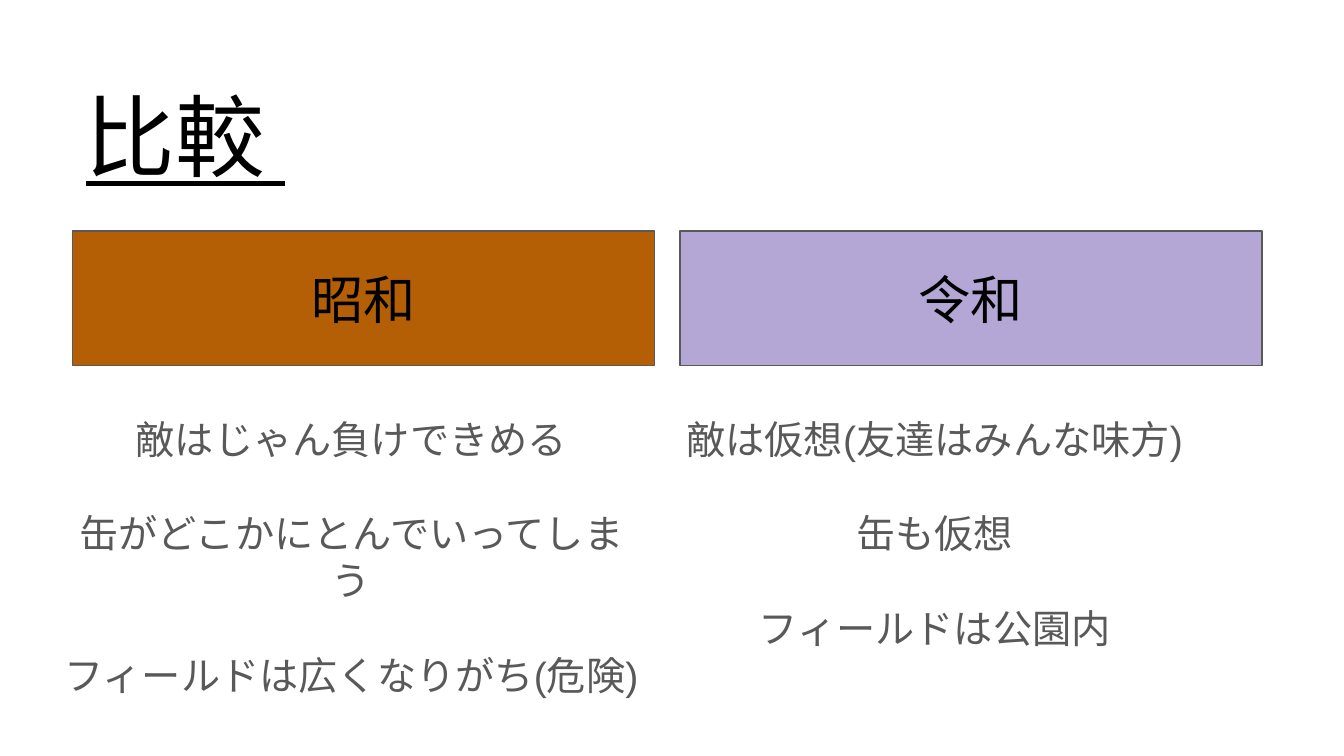
from pptx import Presentation
from pptx.dml.color import RGBColor
from pptx.enum import shapes, text
from pptx.util import Inches, Pt

BLACK = RGBColor(0x00, 0x00, 0x00)
GREY = RGBColor(0x59, 0x59, 0x59)
BROWN = RGBColor(0xB4, 0x5F, 0x06)
LILAC = RGBColor(0xB4, 0xA7, 0xD6)
FONT = "Arial"
PAD = 0.1


def write(shape, lines, size, color, align, anchor, right=PAD, gap=0):
    frame = shape.text_frame
    frame.word_wrap = True
    frame.vertical_anchor = anchor
    frame.margin_left = frame.margin_top = frame.margin_bottom = Inches(PAD)
    frame.margin_right = Inches(right)
    for i, line in enumerate(lines):
        para = frame.paragraphs[0] if i == 0 else frame.add_paragraph()
        para.text = line
        para.alignment = align
        if i:
            para.space_before = Pt(gap)
        para.font.name = FONT
        para.font.size = Pt(size)
        para.font.color.rgb = color
    return frame


def add_title(slide, words):
    box = slide.shapes.add_textbox(Inches(0.54), Inches(0.5), Inches(2.59), Inches(1))
    frame = write(box, [words], 48, BLACK, text.PP_ALIGN.LEFT, text.MSO_ANCHOR.MIDDLE)
    frame.paragraphs[0].font.underline = True


def add_head(slide, left, words, fill):
    box = slide.shapes.add_shape(
        shapes.MSO_SHAPE.RECTANGLE, Inches(left), Inches(1.72), Inches(4.33), Inches(1))
    box.shadow.inherit = False
    box.fill.solid()
    box.fill.fore_color.rgb = fill
    box.line.color.rgb = GREY
    box.line.width = Pt(0.75)
    write(box, [words], 28, BLACK, text.PP_ALIGN.CENTER, text.MSO_ANCHOR.MIDDLE)


def add_points(slide, left, width, right, lines):
    box = slide.shapes.add_textbox(Inches(left), Inches(2.99), Inches(width), Inches(0.68))
    write(box, lines, 21, GREY, text.PP_ALIGN.CENTER, text.MSO_ANCHOR.TOP, right, gap=25.3)


def main():
    # Widescreen page, 16 to 9
    deck = Presentation()
    deck.slide_width = Inches(10)
    deck.slide_height = Inches(10 * 9 / 16)
    slide = deck.slides.add_slide(deck.slide_layouts[6])

    # Points under each era
    add_points(slide, 0.35, 4.52, 0.09, [
        "敵はじゃん負けできめる",
        "缶がどこかにとんでいってしまう",
        "フィールドは広くなりがち(危険)",
    ])
    add_points(slide, 5, 4.45, 0.64, [
        "敵は仮想(友達はみんな味方)",
        "缶も仮想",
        "フィールドは公園内",
    ])

    # Era headings
    add_head(slide, 0.54, "昭和", BROWN)
    add_head(slide, 5.06, "令和", LILAC)

    # Title, underlined through its closing space
    add_title(slide, "比較 ")

    deck.save("out.pptx")


if __name__ == "__main__":
    main()
